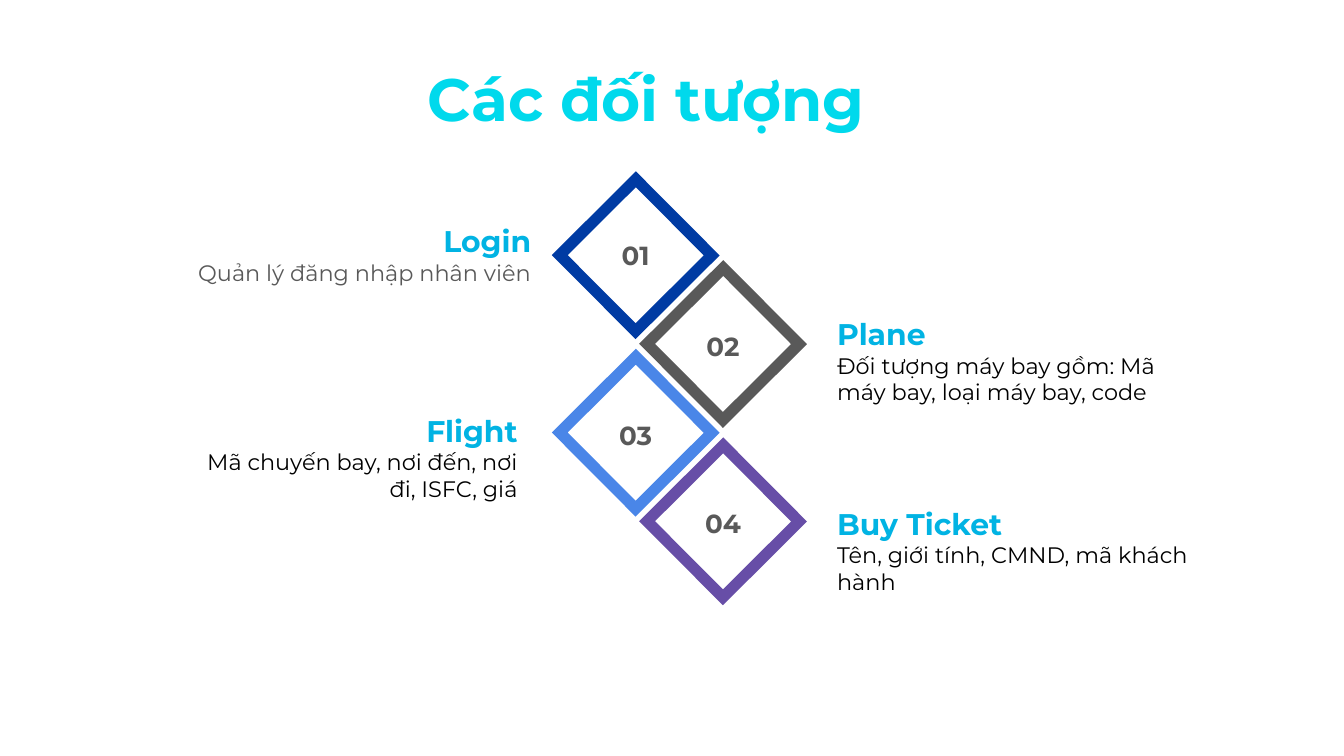
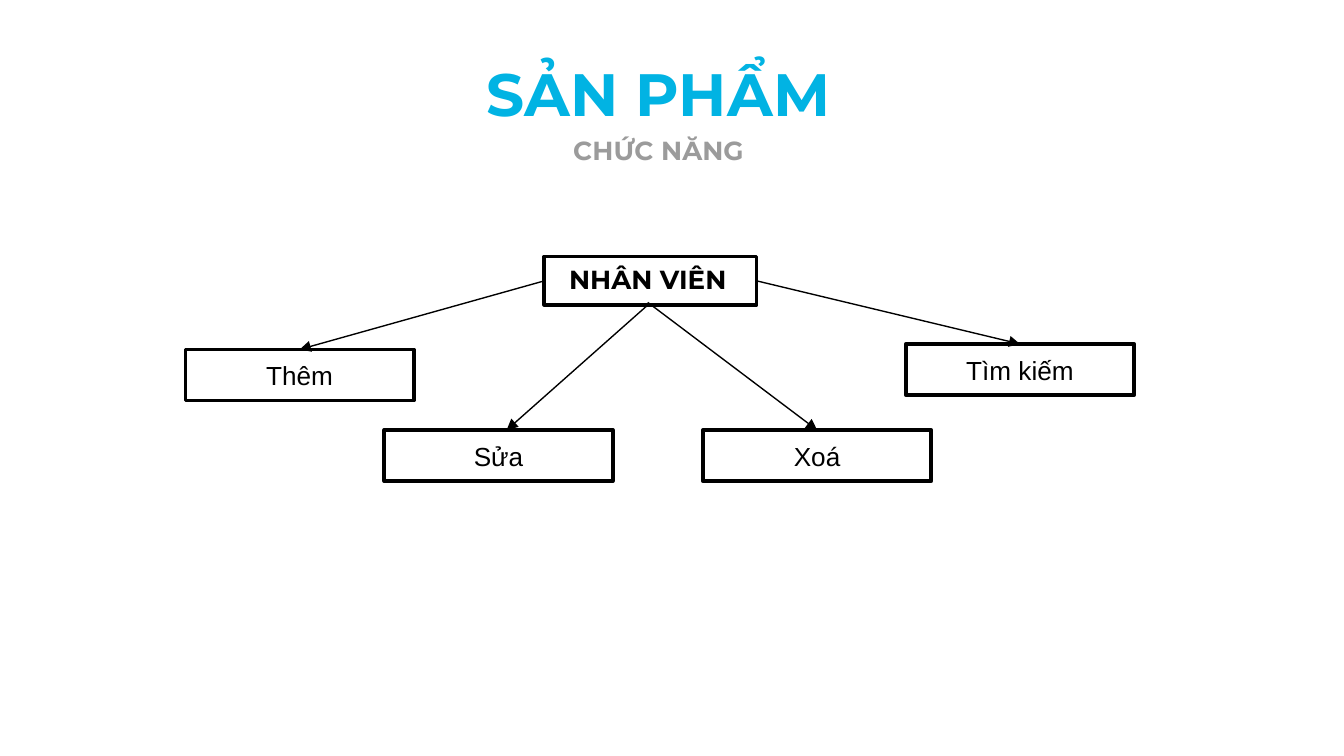
import pptx
import pptx.util
import pptx.dml.color
import pptx.enum.shapes
import pptx.enum.text
import pptx.oxml
import pptx.oxml.ns

Inches = pptx.util.Inches
Pt = pptx.util.Pt
RGB = pptx.dml.color.RGBColor.from_string
SHAPE = pptx.enum.shapes.MSO_SHAPE
ALIGN = pptx.enum.text.PP_ALIGN
ANCHOR = pptx.enum.text.MSO_ANCHOR
AUTO_SIZE = pptx.enum.text.MSO_AUTO_SIZE

COLORS = {
    "cyan": "00D9EC",
    "sky": "01B3E3",
    "navy": "003BA3",
    "gray": "595959",
    "silver": "9B9B9B",
    "blue": "4A86E8",
    "purple": "674EA7",
    "black": "000000",
    "white": "FFFFFF",
}

OBJECTS = [
    {"name": "Login", "detail": "Quản lý đăng nhập nhân viên", "ink": "gray",
     "border": "navy", "number_top": 1.73, "area": (1.07, 1.56, 2.98, 0.67)},
    {"name": "Plane", "detail": "Đối tượng máy bay gồm: Mã máy bay, loại máy bay, code",
     "ink": "black", "border": "gray", "number_top": 2.41, "area": (6.13, 2.25, 2.63, 0.88)},
    {"name": "Flight", "detail": "Mã chuyến bay, nơi đến, nơi đi, ISFC, giá", "ink": "black",
     "border": "blue", "number_top": 3.07, "area": (1.32, 2.97, 2.63, 0.88)},
    {"name": "Buy Ticket", "detail": "Tên, giới tính, CMND, mã khách hành", "ink": "black",
     "border": "purple", "number_top": 3.73, "area": (6.13, 3.66, 3.23, 0.88)},
]
DIAMOND_LEFTS = (4.33, 4.98)
DIAMOND_TOP, DIAMOND_STEP, DIAMOND_SIZE = 1.5, 0.66, 0.8
NUMBER_WIDTH, NUMBER_HEIGHT = 0.67, 0.34

ROOT_AREA = (4.05, 1.91, 1.58, 0.36)
LABEL_AREA = (4.05, 1.91, 1.54, 0.34)
ACTION_WIDTH, ACTION_HEIGHT = 1.7, 0.38
TOP, LEFT, BOTTOM, RIGHT = range(4)
ACTIONS = {
    "Thêm": (1.38, 2.6),
    "Sửa": (2.86, 3.2),
    "Xoá": (5.23, 3.2),
    "Tìm kiếm": (6.74, 2.56),
}
EDIT_ARROW = (4.82, 2.27, 3.77, 3.2)


def place(area):
    return [Inches(length) for length in area]


def write(para, text, size=14, color="black", font="Montserrat", bold=True, align=ALIGN.CENTER):
    para.alignment = align
    span = para.add_run()
    span.text = text
    span.font.size = Pt(size)
    span.font.name = font
    span.font.bold = bold
    span.font.color.rgb = RGB(COLORS[color])


def set_frame(frame, inset=0.05, anchor=ANCHOR.TOP, auto_size=AUTO_SIZE.SHAPE_TO_FIT_TEXT):
    frame.word_wrap = True
    frame.auto_size = auto_size
    frame.vertical_anchor = anchor
    frame.margin_left = frame.margin_right = Inches(0.1)
    frame.margin_top = frame.margin_bottom = Inches(inset)


def add_text(page, area, inset=0.05):
    box = page.shapes.add_textbox(*place(area))
    set_frame(box.text_frame, inset)
    return box


def add_page(deck, title, left, top, color):
    page = deck.slides.add_slide(deck.slide_layouts[5])
    box = page.shapes.title
    box.left, box.top, box.width, box.height = place((left, top, 8.46, 0.74))
    set_frame(box.text_frame, 0.1)
    write(box.text_frame.paragraphs[0], title, size=32, color=color)
    return page


def add_rectangle(page, area, border="black", weight=2, fill=None):
    box = page.shapes.add_shape(SHAPE.RECTANGLE, *place(area))
    box.shadow.inherit = False
    if fill:
        box.fill.solid()
        box.fill.fore_color.rgb = RGB(COLORS[fill])
    else:
        box.fill.background()
    box.line.color.rgb = RGB(COLORS[border])
    box.line.width = Pt(weight)
    return box


def add_child(parent, tag, **attributes):
    child = pptx.oxml.parse_xml(f"<{tag} {pptx.oxml.ns.nsdecls('a')}/>")
    for key, value in attributes.items():
        child.set(key, value)
    parent.append(child)


def add_arrow(page, ends=(0, 0, 0, 0)):
    arrow = page.shapes.add_connector(pptx.enum.shapes.MSO_CONNECTOR.STRAIGHT, *place(ends))
    arrow.line.color.rgb = RGB(COLORS["black"])
    arrow.line.width = Pt(0.75)
    add_child(arrow.line._get_or_add_ln(), "a:tailEnd", type="triangle")
    add_child(arrow._element.spPr, "a:effectLst")
    return arrow


def join(page, start, side, end):
    arrow = add_arrow(page)
    arrow.begin_connect(start, side)
    arrow.end_connect(end, TOP)


def build_objects(deck):
    page = add_page(deck, "Các đối tượng", 0.58, 0.36, "cyan")
    for index, item in enumerate(OBJECTS):
        left = DIAMOND_LEFTS[index % 2]
        top = DIAMOND_TOP + index * DIAMOND_STEP
        diamond = add_rectangle(page, (left, top, DIAMOND_SIZE, DIAMOND_SIZE), item["border"], 6)
        diamond.rotation = 45.1
        add_child(diamond.line._get_or_add_ln(), "a:miter", lim="800000")

    for index, item in enumerate(OBJECTS):
        left = DIAMOND_LEFTS[index % 2] + (DIAMOND_SIZE - NUMBER_WIDTH) / 2
        number = add_text(page, (left, item["number_top"], NUMBER_WIDTH, NUMBER_HEIGHT))
        write(number.text_frame.paragraphs[0], f"{index + 1:02}", color="gray")

    for index, item in enumerate(OBJECTS):
        align = ALIGN.LEFT if index % 2 else ALIGN.RIGHT
        caption = add_text(page, item["area"], inset=0.1).text_frame
        write(caption.paragraphs[0], item["name"], size=16, color="sky", align=align)
        write(caption.add_paragraph(), item["detail"], size=12, color=item["ink"],
              bold=False, align=align)


def build_functions(deck):
    page = add_page(deck, "SẢN PHẨM", 0.67, 0.32, "sky")
    root = add_rectangle(page, ROOT_AREA, fill="white")
    label = add_text(page, LABEL_AREA)
    write(label.text_frame.paragraphs[0], "NHÂN VIÊN")
    subtitle = add_text(page, (3.66, 0.95, 2.48, 0.34))
    write(subtitle.text_frame.paragraphs[0], "CHỨC NĂNG", color="silver")

    boxes = {}
    for name, corner in ACTIONS.items():
        box = add_rectangle(page, (*corner, ACTION_WIDTH, ACTION_HEIGHT), fill="white")
        set_frame(box.text_frame, anchor=ANCHOR.MIDDLE, auto_size=AUTO_SIZE.NONE)
        write(box.text_frame.paragraphs[0], name, font="Arial", bold=False)
        boxes[name] = box

    join(page, root, LEFT, boxes["Thêm"])
    add_arrow(page, EDIT_ARROW)
    join(page, label, BOTTOM, boxes["Xoá"])
    join(page, root, RIGHT, boxes["Tìm kiếm"])


def main():
    deck = pptx.Presentation()
    deck.slide_width = Inches(10)
    deck.slide_height = deck.slide_width * 9 // 16
    build_objects(deck)
    build_functions(deck)
    deck.save("out.pptx")


if __name__ == "__main__":
    main()
